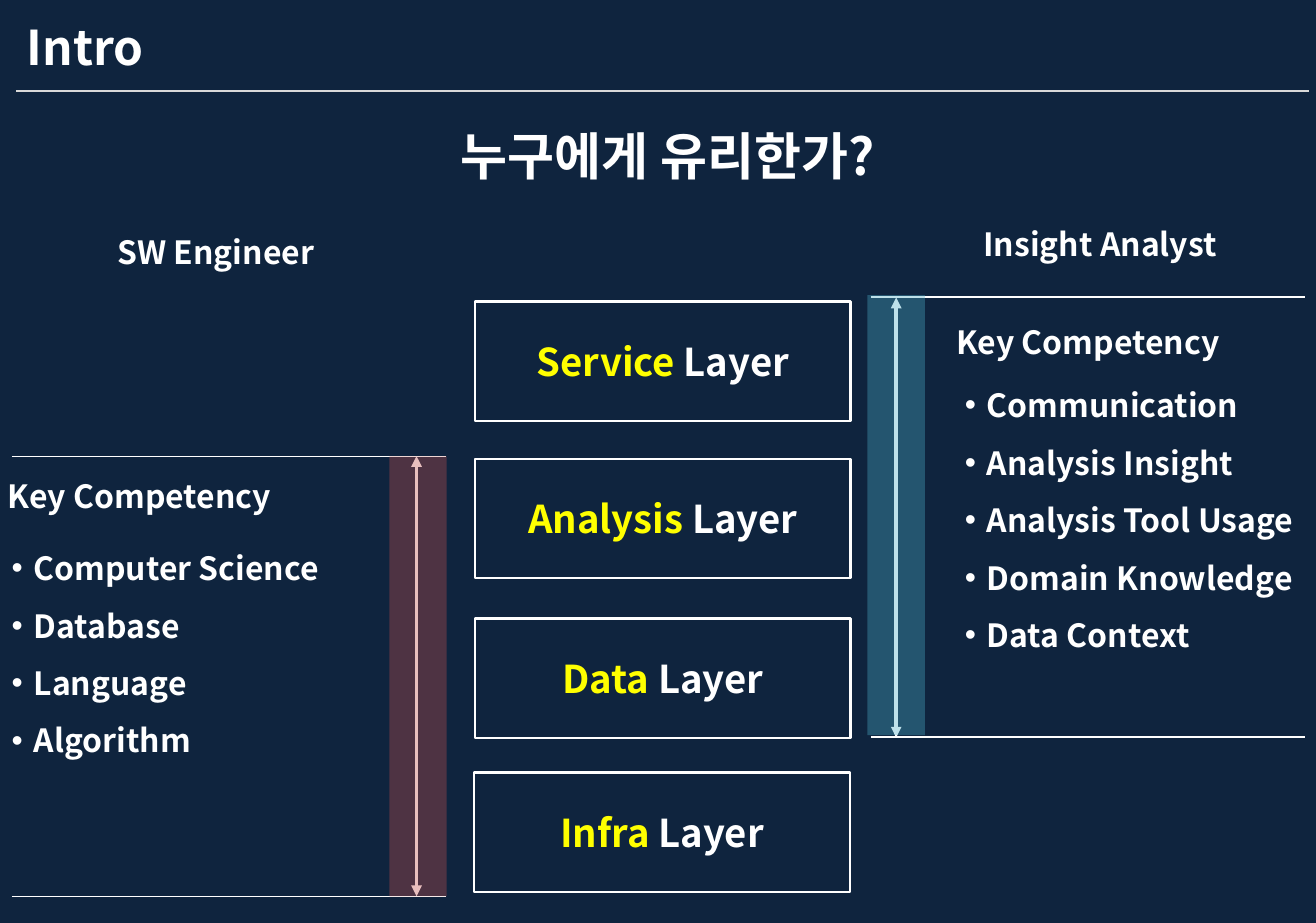
"""Build the slide on who benefits from each layer, on a grid of 0.1 inch cells."""
from dataclasses import dataclass
from pptx import Presentation, util as u
from pptx.dml.color import RGBColor
from pptx.enum import shapes, text
from pptx.oxml import ns, xmlchemy as x

FACE, WHITE, YELLOW = "Noto Sans CJK KR", "FFFFFF", "FFFF00"
WIDE, HIGH = u.Pt(825), u.Pt(578.4)
SPAN, RAIL, BAR = 38.3, 37.8, 5


@dataclass
class Box:
    col: float
    row: float
    wide: float
    high: float

    def area(self) -> list[int]:
        return [cell(n) for n in (self.col, self.row, self.wide, self.high)]


@dataclass
class Label:
    words: list[str]
    box: Box
    size: int = 20
    lead: float = 1.5
    hang: float = 0
    dot: bool = False
    mid: bool = False


@dataclass
class Layer:
    word: str
    col: float
    row: float


@dataclass
class Panel:
    rail: float
    top: float
    bar: Box
    arrow: float
    start: float
    hue: str
    labels: list[Label]


def cell(count: float) -> int:
    """Turn a count of grid cells into a length."""
    return u.Inches(count / 10)


def color(code: str) -> RGBColor:
    """Turn a hex string into a colour."""
    return RGBColor.from_string(code)


def add(owner, tag: str, **attrs: str):
    """Append an XML child with the given attributes."""
    node = x.OxmlElement(tag)
    for key, value in attrs.items():
        node.set(key, value)
    owner.append(node)
    return node


def style(run, size: int, hue: str = WHITE) -> None:
    """Set the font of a run for Latin and Korean text."""
    font = run.font
    font.name, font.size, font.bold = FACE, u.Pt(size), True
    font.color.rgb = color(hue)
    add(run._r.get_or_add_rPr(), "a:ea", typeface=FACE)


def rule(slide, ends: tuple, hue: str = WHITE, width: float = 1, tips: bool = False) -> None:
    """Draw a line, with arrowheads at both ends if asked."""
    link = slide.shapes.add_connector(shapes.MSO_CONNECTOR.STRAIGHT, *map(cell, ends))
    link.line.color.rgb, link.line.width = color(hue), u.Pt(width)
    add(link._element.spPr, "a:effectLst")
    if tips:
        for tag in ("a:headEnd", "a:tailEnd"):
            add(link.line._get_or_add_ln(), tag, type="triangle")


def block(slide, box: Box):
    """Add a plain rectangle without shadow."""
    rect = slide.shapes.add_shape(shapes.MSO_SHAPE.RECTANGLE, *box.area())
    rect.shadow.inherit = False
    return rect


def write(slide, label: Label) -> None:
    """Add a text box with one paragraph for each entry."""
    frame = slide.shapes.add_textbox(*label.box.area()).text_frame
    frame.word_wrap = True
    frame.auto_size = text.MSO_AUTO_SIZE.SHAPE_TO_FIT_TEXT
    frame.text = "\n".join(label.words)
    for para in frame.paragraphs:
        para.line_spacing = label.lead
        if label.mid:
            para.alignment = text.PP_ALIGN.CENTER
        props = para._p.get_or_add_pPr()
        if label.hang:
            props.set("marL", str(cell(label.hang)))
            props.set("indent", str(-cell(label.hang)))
        if label.dot:
            add(props, "a:buFont", typeface="Arial")
            add(props, "a:buChar", char="•")
        style(para.runs[0], label.size)


def stack(slide, layer: Layer) -> None:
    """Draw one outlined layer with its key word in yellow."""
    rect = block(slide, Box(layer.col, layer.row, 32.7, 10.4))
    rect.fill.background()
    rect.line.color.rgb, rect.line.width = color(WHITE), u.Pt(1.5)
    frame = rect.text_frame
    frame.vertical_anchor = text.MSO_ANCHOR.MIDDLE
    para = frame.paragraphs[0]
    para.alignment = text.PP_ALIGN.CENTER
    for words, hue in ((layer.word, YELLOW), (" Layer", WHITE)):
        run = para.add_run()
        run.text = words
        style(run, 24, hue)


def draw(slide, panel: Panel) -> None:
    """Draw the rails, arrow, tinted bar and texts of one role."""
    for row in (panel.top, panel.top + SPAN):
        rule(slide, (panel.rail, row, panel.rail + RAIL, row))
    rule(slide, (panel.arrow, panel.start, panel.arrow, panel.start + SPAN), width=2.25, tips=True)
    bar = block(slide, panel.bar)
    bar.fill.solid()
    bar.fill.fore_color.rgb = color(panel.hue)
    add(bar._element.spPr.find(".//" + ns.qn("a:srgbClr")), "a:alpha", val="36000")
    bar.line.fill.background()
    for label in panel.labels:
        write(slide, label)


def head(words: str, col: float, row: float, wide: float) -> Label:
    """Describe a one-line heading."""
    return Label([words], Box(col, row, wide, 5.4), hang=4.8)


def skills(words: list[str], col: float, row: float, high: float) -> Label:
    """Describe a bulleted list."""
    return Label(words, Box(col, row, 33, high), hang=1.9, dot=True)


LAYERS = [Layer("Service", 41.37, 26.23), Layer("Analysis", 41.37, 39.93),
          Layer("Data", 41.37, 53.83), Layer("Infra", 41.3, 67.24)]
PANELS = [
    Panel(1.04, 39.72, Box(33.9, 39.73, BAR, SPAN), 36.27, 39.7, "C0504D", [
        head("SW Engineer", 9.24, 18.1, 22.4),
        head("Key Competency", -0.3, 39.34, 32.8),
        skills(["Computer Science", "Database", "Language", "Algorithm"], 0.04, 45.6, 25.6)]),
    Panel(75.84, 25.83, Box(75.53, 25.7, BAR, SPAN), 78.03, 25.9, "4BACC6", [
        head("Insight Analyst", 84.64, 17.4, 22.4),
        head("Key Competency", 82.3, 25.9, 32.8),
        skills(["Communication", "Analysis Insight", "Analysis Tool Usage",
                "Domain Knowledge", "Data Context"], 83.04, 31.42, 30.7)]),
]
TITLES = [Label(["Intro"], Box(1.36, 1.04, 112.6, 6.1), size=30, lead=1.0),
          Label(["누구에게 유리한가?"], Box(32.1, 7.7, 52.1, 8), size=32, mid=True)]


def main() -> None:
    """Build and save the slide."""
    deck = Presentation()
    deck.slide_width, deck.slide_height = WIDE, HIGH
    slide = deck.slides.add_slide(deck.slide_layouts[6])
    slide.background.fill.solid()
    slide.background.fill.fore_color.rgb = color("0F243E")
    rule(slide, (1.4, 7.9, 114, 7.9), "D9D9D9")
    for title in TITLES:
        write(slide, title)
    for layer in LAYERS:
        stack(slide, layer)
    for panel in PANELS:
        draw(slide, panel)
    deck.save("out.pptx")


main()
